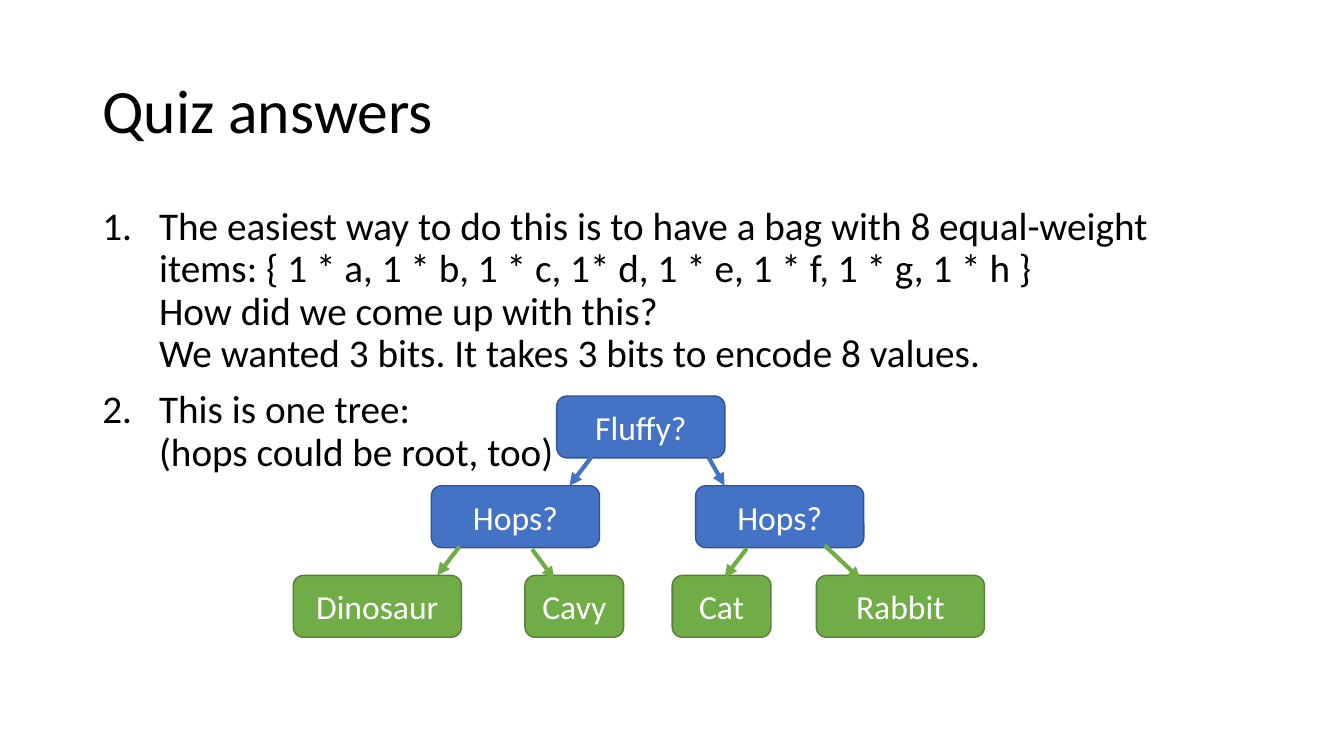
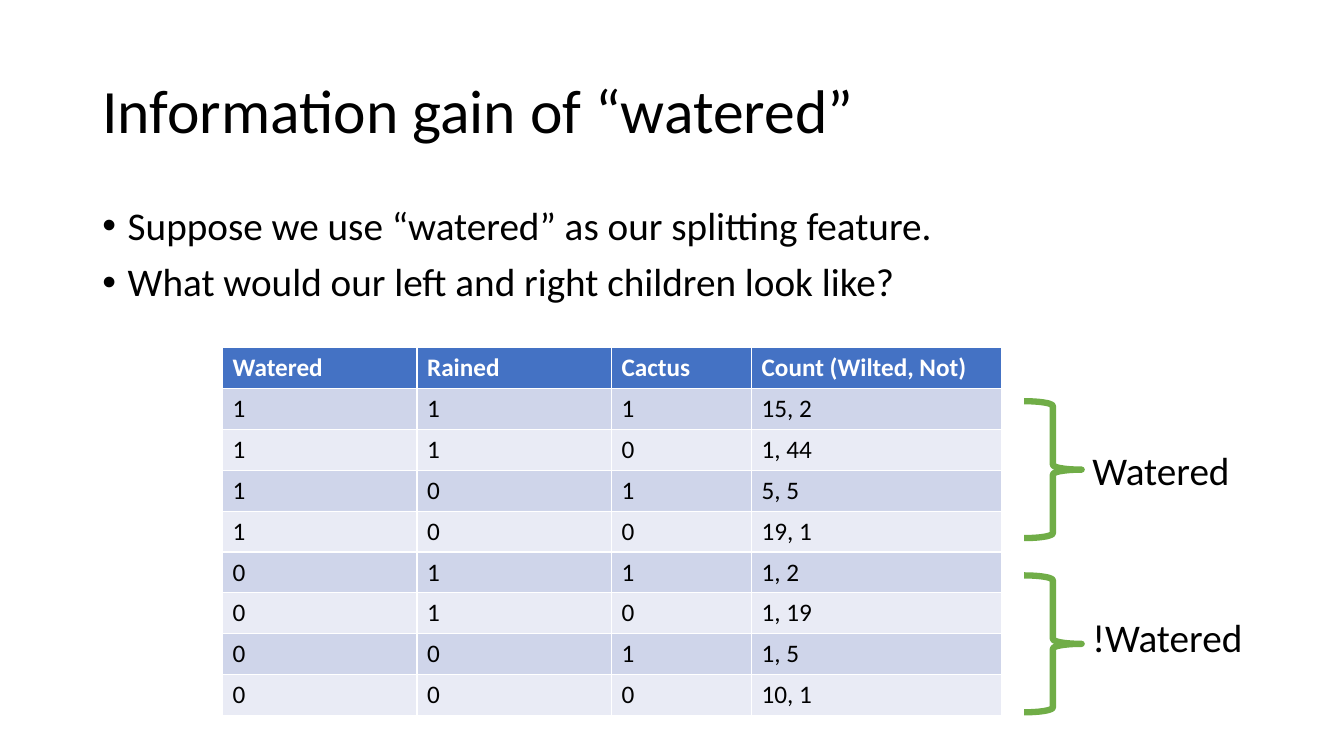
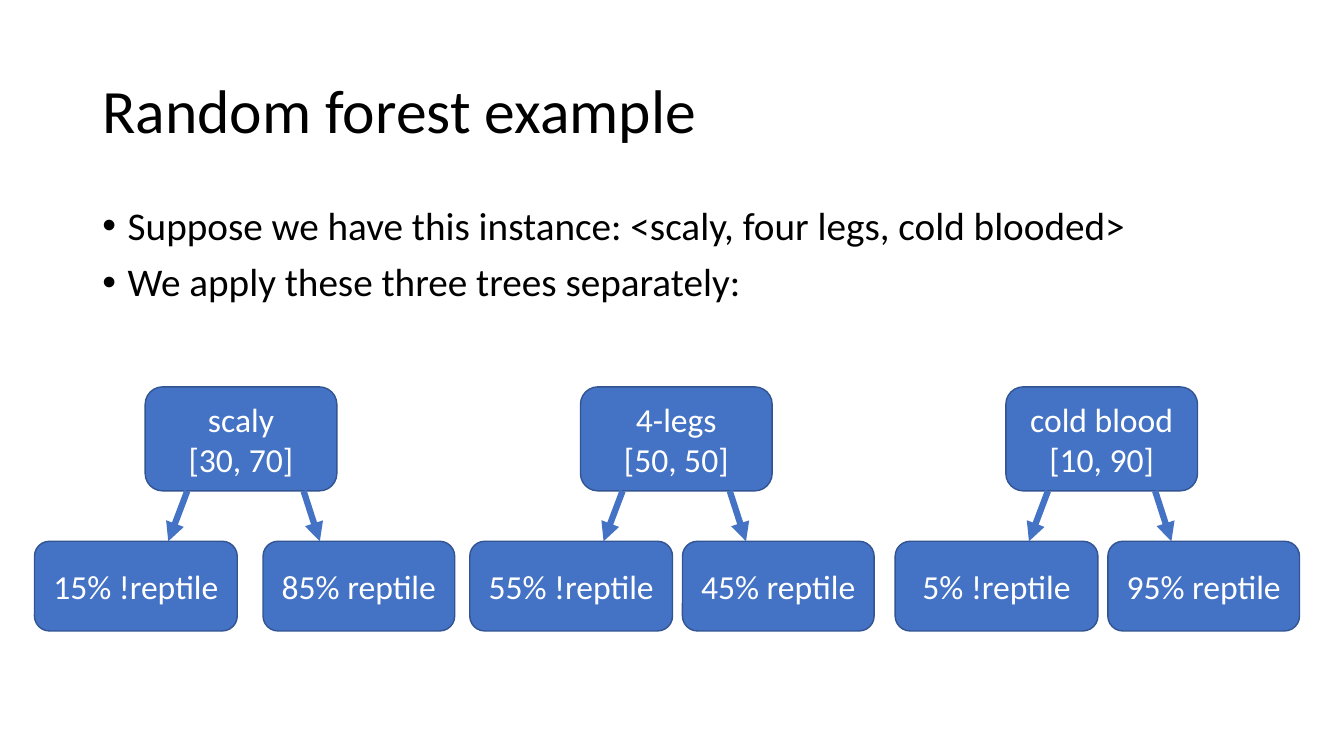
from dataclasses import dataclass

import lxml.etree
import pptx
import pptx.dml.color
import pptx.enum.shapes
import pptx.enum.text
import pptx.oxml.ns
import pptx.slide
import pptx.text.text
import pptx.util

Cm = pptx.util.Cm
Pt = pptx.util.Pt
qn = pptx.oxml.ns.qn
Shapes = pptx.enum.shapes.MSO_SHAPE
Align = pptx.enum.text.PP_ALIGN
Anchor = pptx.enum.text.MSO_ANCHOR


@dataclass(frozen=True)
class Theme:
    font: str = "Calibri"
    black: str = "000000"
    white: str = "FFFFFF"
    blue: str = "4472C4"
    blue_edge: str = "325491"
    green: str = "70AD47"
    green_edge: str = "538035"
    dark_band: str = "CFD5EA"
    light_band: str = "E9EBF5"
    title_size: int = 44
    body_size: int = 28
    node_size: int = 24
    table_size: int = 18


THEME = Theme()


# Lengths in these records are centimetres
@dataclass(frozen=True)
class Box:
    left: float
    top: float
    width: float
    height: float

    def emu(self) -> tuple[int, int, int, int]:
        return Cm(self.left), Cm(self.top), Cm(self.width), Cm(self.height)


@dataclass(frozen=True)
class Node:
    text: str
    box: Box
    fill: str = THEME.blue
    edge: str = THEME.blue_edge


@dataclass(frozen=True)
class Arrow:
    x1: float
    y1: float
    x2: float
    y2: float
    color: str = THEME.blue
    width: float = 3


@dataclass(frozen=True)
class ListStyle:
    indent: float
    tag: str
    attribute: str
    value: str


@dataclass(frozen=True)
class Stump:
    """A one-split tree; shifts are measured from the root's left edge."""
    root: str
    left_leaf: str
    right_leaf: str
    left: float
    leaf_shift: float = 2.57
    arrow_shift: float = 3.76


BULLETS = ListStyle(0.64, "a:buChar", "char", "•")
NUMBERS = ListStyle(1.43, "a:buAutoNum", "type", "arabicPeriod")
TITLE_BOX = Box(2.33, 1.02, 29.21, 3.68)
BODY_BOX = Box(2.33, 5.08, 29.21, 12.09)


# Shared drawing functions
def rgb(color: str) -> pptx.dml.color.RGBColor:
    return pptx.dml.color.RGBColor.from_string(color)


def style_font(paragraph: pptx.text.text._Paragraph, size: int, color: str, bold: bool = False) -> None:
    font = paragraph.font
    font.name, font.size, font.bold = THEME.font, Pt(size), bold
    font.color.rgb = rgb(color)


def add_text(slide: pptx.slide.Slide, box: Box, text: str, size: int) -> pptx.text.text.TextFrame:
    frame = slide.shapes.add_textbox(*box.emu()).text_frame
    frame.word_wrap = True
    frame.paragraphs[0].text = text
    style_font(frame.paragraphs[0], size, THEME.black)
    return frame


def add_list(slide: pptx.slide.Slide, items: list[str], style: ListStyle) -> None:
    frame = slide.shapes.add_textbox(*BODY_BOX.emu()).text_frame
    frame.word_wrap = True
    for index, item in enumerate(items):
        paragraph = frame.add_paragraph() if index else frame.paragraphs[0]
        paragraph.text = item
        paragraph.line_spacing = 0.9
        paragraph.space_before = Pt(10)
        properties = paragraph._p.get_or_add_pPr()
        properties.set("marL", str(Cm(style.indent)))
        properties.set("indent", str(-Cm(style.indent)))
        lxml.etree.SubElement(properties, qn("a:buFont")).set("typeface", "Arial" if style is BULLETS else THEME.font)
        lxml.etree.SubElement(properties, qn(style.tag)).set(style.attribute, style.value)
        style_font(paragraph, THEME.body_size, THEME.black)


def add_slide(deck: pptx.presentation.Presentation, title: str, items: list[str],
              style: ListStyle = BULLETS) -> pptx.slide.Slide:
    slide = deck.slides.add_slide(deck.slide_layouts[6])
    heading = add_text(slide, TITLE_BOX, title, THEME.title_size)
    heading.vertical_anchor = Anchor.MIDDLE
    heading.paragraphs[0].line_spacing = 0.9
    add_list(slide, items, style)
    return slide


def add_node(slide: pptx.slide.Slide, node: Node) -> None:
    shape = slide.shapes.add_shape(Shapes.ROUNDED_RECTANGLE, *node.box.emu())
    shape.shadow.inherit = False
    shape.fill.solid()
    shape.fill.fore_color.rgb = rgb(node.fill)
    shape.line.color.rgb = rgb(node.edge)
    shape.line.width = Pt(1)
    frame = shape.text_frame
    frame.word_wrap = True
    frame.vertical_anchor = Anchor.MIDDLE
    label = frame.paragraphs[0]
    label.text = node.text
    label.alignment = Align.CENTER
    style_font(label, THEME.node_size, THEME.white)


def add_arrow(slide: pptx.slide.Slide, arrow: Arrow) -> None:
    connector = slide.shapes.add_connector(
        pptx.enum.shapes.MSO_CONNECTOR.STRAIGHT,
        Cm(arrow.x1), Cm(arrow.y1), Cm(arrow.x2), Cm(arrow.y2))
    connector.line.color.rgb = rgb(arrow.color)
    connector.line.width = Pt(arrow.width)
    properties = connector._element.spPr
    lxml.etree.SubElement(properties.find(qn("a:ln")), qn("a:tailEnd")).set("type", "triangle")
    lxml.etree.SubElement(properties, qn("a:effectLst"))


# Slide 1: the quiz tree
def build_quiz(deck: pptx.presentation.Presentation) -> None:
    slide = add_slide(deck, "Quiz answers", [
        "The easiest way to do this is to have a bag with 8 equal-weight items: "
        "{ 1 * a, 1 * b, 1 * c, 1* d, 1 * e, 1 * f, 1 * g, 1 * h }\n"
        "How did we come up with this?\n"
        "We wanted 3 bits. It takes 3 bits to encode 8 values.",
        "This is one tree:\n(hops could be root, too)",
    ], NUMBERS)

    wide, narrow, height = 4.24, 2.49, 1.56
    root_top, level_step = 9.98, 2.26
    levels = [
        [("Fluffy?", 14.03, wide)],
        [("Hops?", 10.87, wide), ("Hops?", 17.53, wide)],
        [("Dinosaur", 7.39, wide), ("Cavy", 13.23, narrow),
         ("Cat", 16.94, narrow), ("Rabbit", 20.57, wide)],
    ]
    for depth, level in enumerate(levels):
        colors = (THEME.green, THEME.green_edge) if depth == 2 else (THEME.blue, THEME.blue_edge)
        for text, left, width in level:
            add_node(slide, Node(text, Box(left, root_top + depth * level_step, width, height), *colors))

    for arrow in (
        Arrow(14.91, 11.51, 14.35, 12.24),
        Arrow(17.86, 11.53, 18.26, 12.24),
        Arrow(11.58, 13.77, 11.02, 14.5, THEME.green),
        Arrow(13.41, 13.84, 13.97, 14.6, THEME.green),
        Arrow(18.82, 13.82, 18.26, 14.55, THEME.green),
        Arrow(20.78, 13.74, 21.69, 14.6, THEME.green),
    ):
        add_arrow(slide, arrow)


# Slide 2: the table and its two halves
def build_gain(deck: pptx.presentation.Presentation) -> None:
    slide = add_slide(deck, "Information gain of “watered”", [
        "Suppose we use “watered” as our splitting feature.",
        "What would our left and right children look like?",
    ])

    rows = [
        ("Watered", "Rained", "Cactus", "Count (Wilted, Not)"),
        ("1", "1", "1", "15, 2"),
        ("1", "1", "0", "1, 44"),
        ("1", "0", "1", "5, 5"),
        ("1", "0", "0", "19, 1"),
        ("0", "1", "1", "1, 2"),
        ("0", "1", "0", "1, 19"),
        ("0", "0", "1", "1, 5"),
        ("0", "0", "0", "10, 1"),
    ]
    widths = (4.9, 4.9, 3.53, 6.3)
    row_height = 1.03
    counts = slide.shapes.add_table(
        len(rows), len(widths),
        *Box(5.61, 8.76, sum(widths), row_height * len(rows)).emu()).table
    for column, width in zip(counts.columns, widths):
        column.width = Cm(width)
    for r, row in enumerate(rows):
        counts.rows[r].height = Cm(row_height)
        header = r == 0
        band = THEME.blue if header else THEME.dark_band if r % 2 else THEME.light_band
        for c, value in enumerate(row):
            cell = counts.cell(r, c)
            cell.fill.solid()
            cell.fill.fore_color.rgb = rgb(band)
            paragraph = cell.text_frame.paragraphs[0]
            paragraph.text = value
            style_font(paragraph, THEME.table_size, THEME.white if header else THEME.black, header)

    for text, brace_top, label_top in (("Watered", 10.11, 11.13), ("!Watered", 14.5, 15.32)):
        brace = slide.shapes.add_shape(Shapes.RIGHT_BRACE, *Box(25.81, brace_top, 1.45, 3.45).emu())
        brace.shadow.inherit = False
        brace.fill.background()
        brace.line.color.rgb = rgb(THEME.green)
        brace.line.width = Pt(4.5)
        add_text(slide, Box(27.28, label_top, 4.65, 1.45), text, THEME.body_size)


# Slide 3: the three one-split trees
def add_stump(slide: pptx.slide.Slide, stump: Stump) -> None:
    root_top, root_bottom, leaf_top = 9.75, 12.37, 13.64
    width, leaf_height = 4.83, 2.26
    x = stump.left
    for node in (
        Node(stump.root, Box(x, root_top, width, root_bottom - root_top)),
        Node(stump.left_leaf, Box(x - 2.79, leaf_top, 5.11, leaf_height)),
        Node(stump.right_leaf, Box(x + stump.leaf_shift, leaf_top, width, leaf_height)),
    ):
        add_node(slide, node)
    for start, lean in ((1.06, -0.48), (stump.arrow_shift, 0.41)):
        add_arrow(slide, Arrow(x + start, root_bottom, x + start + lean, leaf_top, width=4.5))


def build_forest(deck: pptx.presentation.Presentation) -> None:
    slide = add_slide(deck, "Random forest example", [
        "Suppose we have this instance: <scaly, four legs, cold blooded>",
        "We apply these three trees separately:",
    ])
    for stump in (
        Stump("scaly\n[30, 70]", "15% !reptile", "85% reptile", 3.66, 2.97, 3.99),
        Stump("4-legs\n[50, 50]", "55% !reptile", "45% reptile", 14.63),
        Stump("cold blood\n[10, 90]", "5% !reptile", "95% reptile", 25.35),
    ):
        add_stump(slide, stump)


def main() -> None:
    deck = pptx.Presentation()
    deck.slide_width, deck.slide_height = Cm(33.87), Cm(19.05)
    build_quiz(deck)
    build_gain(deck)
    build_forest(deck)
    deck.save("out.pptx")


if __name__ == "__main__":
    main()
